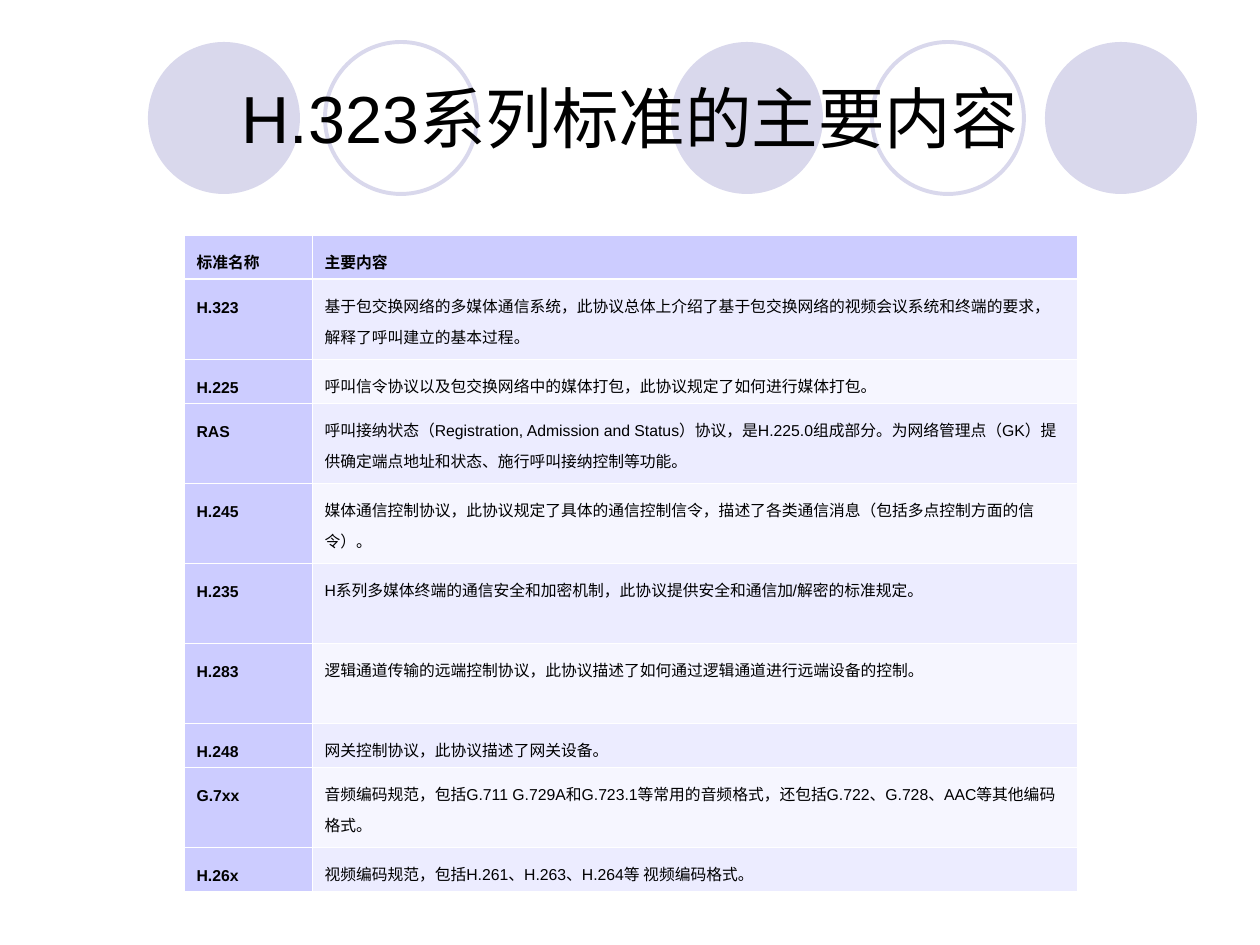
from lxml import etree
from pptx import Presentation
from pptx.dml.color import RGBColor
from pptx.enum.shapes import MSO_SHAPE
from pptx.enum.text import MSO_ANCHOR, MSO_AUTO_SIZE, PP_ALIGN
from pptx.oxml.ns import qn
from pptx.util import Emu, Pt

ELLIPSE = MSO_SHAPE.OVAL
MIDDLE = MSO_ANCHOR.MIDDLE
CENTER = PP_ALIGN.CENTER
LEFT = PP_ALIGN.LEFT
NO_AUTOFIT = MSO_AUTO_SIZE.NONE

PX_PER_INCH = 126
FONT = "Arial"
BLACK, WHITE = "000000", "FFFFFF"
LAVENDER, HEADING = "D9D8EC", "CCCCFF"
BANDS = ("ECECFF", "F6F6FF")
THIN, THICK = 0.45, 1.47
SHORT, TALL = 41, 80

STANDARDS = [
    ("标准名称", "主要内容", SHORT),
    ("H.323", "基于包交换网络的多媒体通信系统，此协议总体上介绍了基于包交换网络的视频会议系统和终端的要求，解释了呼叫建立的基本过程。", TALL),
    ("H.225", "呼叫信令协议以及包交换网络中的媒体打包，此协议规定了如何进行媒体打包。", SHORT),
    ("RAS", "呼叫接纳状态（Registration, Admission and Status）协议，是H.225.0组成部分。为网络管理点（GK）提供确定端点地址和状态、施行呼叫接纳控制等功能。", TALL),
    ("H.245", "媒体通信控制协议，此协议规定了具体的通信控制信令，描述了各类通信消息（包括多点控制方面的信令）。", TALL),
    ("H.235", "H系列多媒体终端的通信安全和加密机制，此协议提供安全和通信加/解密的标准规定。", TALL),
    ("H.283", "逻辑通道传输的远端控制协议，此协议描述了如何通过逻辑通道进行远端设备的控制。", TALL),
    ("H.248", "网关控制协议，此协议描述了网关设备。", SHORT),
    ("G.7xx", "音频编码规范，包括G.711 G.729A和G.723.1等常用的音频格式，还包括G.722、G.728、AAC等其他编码格式。", TALL),
    ("H.26x", "视频编码规范，包括H.261、H.263、H.264等 视频编码格式。", SHORT),
]


def px(length):
    return Emu(round(length * 914400 / PX_PER_INCH))


def color(value):
    return RGBColor.from_string(value)


def style(paragraph, size, align, bold=False):
    paragraph.alignment = align
    paragraph.font.name = FONT
    paragraph.font.size = Pt(size)
    paragraph.font.bold = bold
    paragraph.font.color.rgb = color(BLACK)


def add_circles(slide, left, top, diameter):
    for offset, filled in ((0, True), (177, False), (523, True), (724, False), (897, True)):
        circle = slide.shapes.add_shape(
            ELLIPSE, px(left + offset), px(top), px(diameter), px(diameter))
        circle.shadow.inherit = False
        if filled:
            circle.fill.solid()
            circle.fill.fore_color.rgb = color(LAVENDER)
            circle.line.fill.background()
        else:
            circle.fill.background()
            circle.line.color.rgb = color(LAVENDER)
            circle.line.width = Pt(2.25)


def add_heading(slide, left, top, width, height):
    heading = slide.shapes.title
    slide.shapes.element.append(heading.element)
    heading.left, heading.top = px(left), px(top)
    heading.width, heading.height = px(width), px(height)
    frame = heading.text_frame
    frame.text = "H.323系列标准的主要内容"
    frame.auto_size = NO_AUTOFIT
    frame.vertical_anchor = MIDDLE
    style(frame.paragraphs[0], 38, CENTER)


def set_borders(cell, top, bottom):
    properties = cell._tc.get_or_add_tcPr()
    for side, width in (("L", THIN), ("R", THIN), ("T", top), ("B", bottom)):
        border = etree.SubElement(properties, qn(f"a:ln{side}"), w=str(Pt(width)))
        fill = etree.SubElement(border, qn("a:solidFill"))
        etree.SubElement(fill, qn("a:srgbClr"), val=WHITE)


def add_standards(slide, left, top, widths):
    height = sum(row_height for _, _, row_height in STANDARDS)
    table = slide.shapes.add_table(
        len(STANDARDS), len(widths), px(left), px(top), px(sum(widths)), px(height)).table
    for column, width in zip(table.columns, widths):
        column.width = px(width)
    for row, (name, content, row_height) in enumerate(STANDARDS):
        table.rows[row].height = px(row_height)
        for column, wording in enumerate((name, content)):
            is_heading = row == 0 or column == 0
            cell = table.cell(row, column)
            set_borders(cell, THICK if row == 1 else THIN, THICK if row == 0 else THIN)
            cell.fill.solid()
            cell.fill.fore_color.rgb = color(HEADING if is_heading else BANDS[(row - 1) % 2])
            cell.text = wording
            paragraph = cell.text_frame.paragraphs[0]
            paragraph.line_spacing = Pt(18)
            style(paragraph, 9, LEFT, is_heading)


def main():
    presentation = Presentation()
    presentation.slide_width, presentation.slide_height = px(1260), px(945)
    slide = presentation.slides.add_slide(presentation.slide_layouts[5])
    add_circles(slide, 148, 42, 152)
    add_heading(slide, 63, 38, 1134, 158)
    add_standards(slide, 184, 235, (128, 765))
    presentation.save("out.pptx")


if __name__ == "__main__":
    main()
